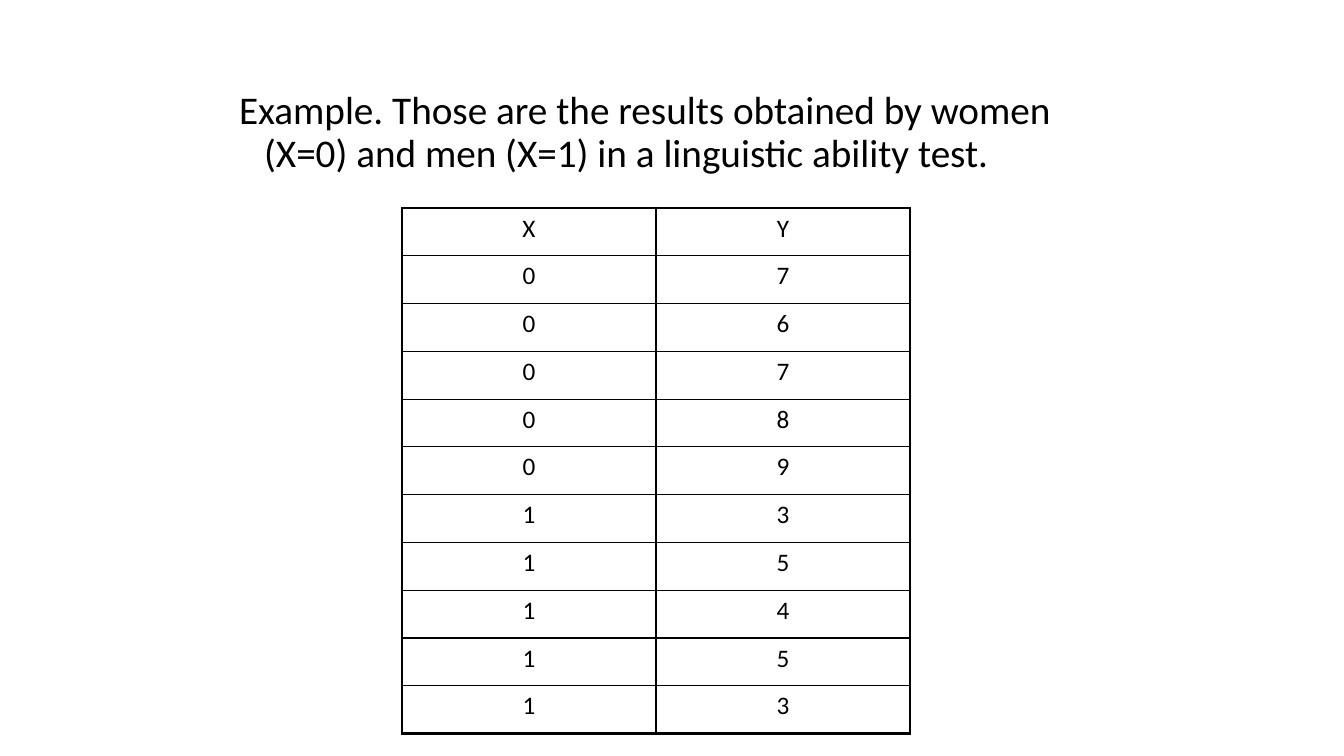
from lxml import etree
from pptx import Presentation
from pptx.dml.color import RGBColor
from pptx.enum.text import MSO_ANCHOR, PP_ALIGN
from pptx.oxml.ns import qn
from pptx.util import Emu, Pt

CENTER = PP_ALIGN.CENTER
TOP = MSO_ANCHOR.TOP
FONT = "Calibri"
BLACK = "000000"
THIN, THICK = 1, 2.25
INTRO = ("Example. Those are the results obtained by women (X=0) "
         "and men (X=1) in a linguistic ability test.")
SCORES = {0: [7, 6, 7, 8, 9], 1: [3, 5, 4, 5, 3]}


def px(n):
    return Emu(round(n * 914400 / 100.8))


def color(code):
    return RGBColor.from_string(code)


def add_run(para, text, size):
    run = para.add_run()
    run.text = text
    font = run.font
    font.name, font.size, font.bold = FONT, Pt(size), False
    font.color.rgb = color(BLACK)


def add_intro(slide, text, left, top, width, height):
    """Fill the body placeholder with one hanging paragraph without a bullet."""
    body = slide.placeholders[1]
    body.left, body.top = px(left), px(top)
    body.width, body.height = px(width), px(height)
    frame = body.text_frame
    frame.word_wrap = True
    frame.vertical_anchor = TOP
    para = frame.paragraphs[0]
    para.line_spacing = 0.9
    para.space_before = Pt(10)
    props = para._p.get_or_add_pPr()
    props.set("marL", str(px(25)))
    props.set("indent", str(-px(25)))
    etree.SubElement(props, qn("a:buNone"))
    add_run(para, text, 28)


def set_edge(cell, side, width):
    props = cell._tc.get_or_add_tcPr()
    line = etree.SubElement(props, qn(f"a:ln{side}"), w=str(Pt(width)))
    fill = etree.SubElement(line, qn("a:solidFill"))
    etree.SubElement(fill, qn("a:srgbClr"), val=BLACK)


def add_grid(slide, rows, left, top, width, height):
    """Add a table with thin inner lines and a thick frame."""
    count, span = len(rows), len(rows[0])
    table = slide.shapes.add_table(
        count, span, px(left), px(top), px(width), px(height)).table
    table.first_row = table.horz_banding = False
    for r, row in enumerate(rows):
        table.rows[r].height = px(height / count)
        for c, value in enumerate(row):
            cell = table.cell(r, c)
            outer = {"L": c == 0, "R": c == span - 1,
                     "T": r == 0, "B": r == count - 1}
            for side, thick in outer.items():
                set_edge(cell, side, THICK if thick else THIN)
            cell.fill.background()
            cell.vertical_anchor = TOP
            para = cell.text_frame.paragraphs[0]
            para.alignment = CENTER
            para.space_before = Pt(3.6)
            add_run(para, str(value), 18)


def main():
    deck = Presentation()
    deck.slide_width, deck.slide_height = px(1344), px(756)
    slide = deck.slides.add_slide(deck.slide_layouts[1])
    title = slide.shapes.title._element
    title.getparent().remove(title)
    add_intro(slide, INTRO, 229, 86, 874, 499)
    rows = [("X", "Y")]
    rows += [(x, y) for x, group in SCORES.items() for y in group]
    add_grid(slide, rows, 402, 208, 508, 526)
    deck.save("out.pptx")


if __name__ == "__main__":
    main()
